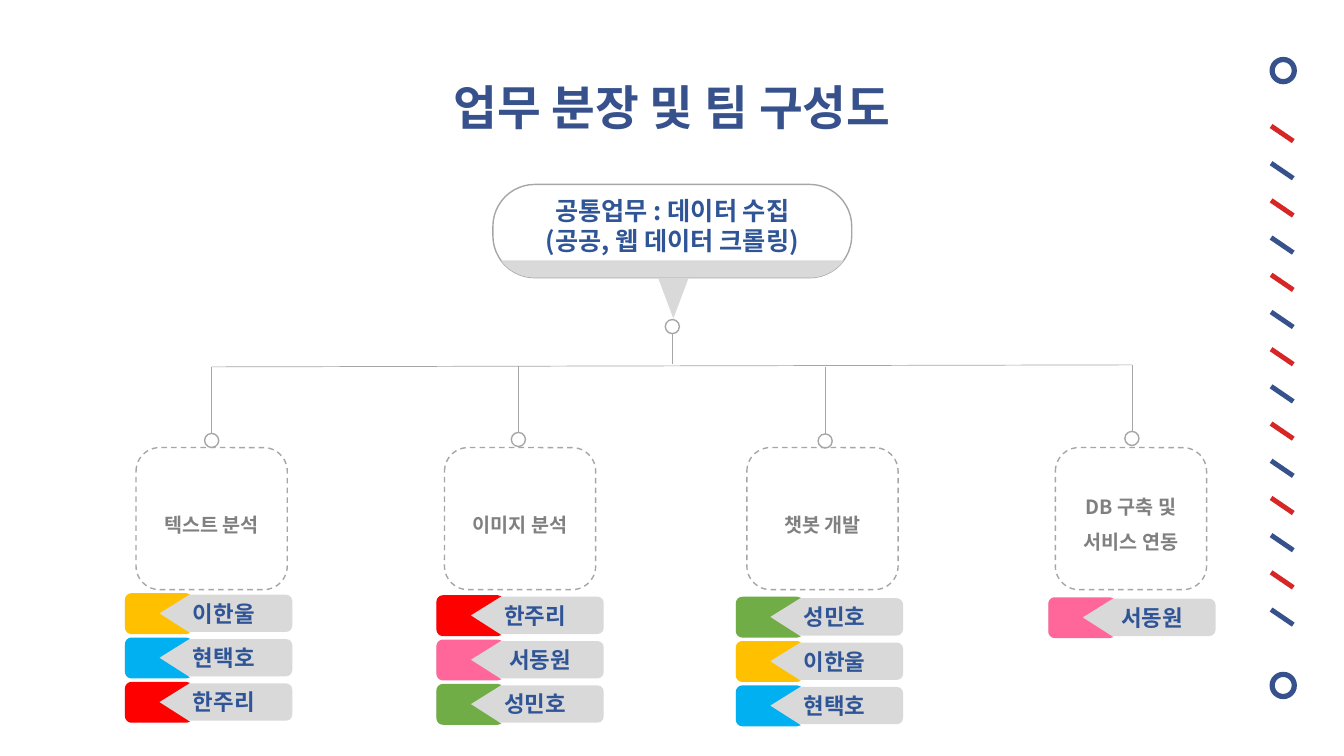
import dataclasses
import math

import lxml.etree
import pptx
import pptx.dml.color
import pptx.enum.dml
import pptx.enum.shapes
import pptx.enum.text
import pptx.oxml.ns
import pptx.util


@dataclasses.dataclass(frozen=True)
class Theme:
    """Colours and type sizes of the slide."""
    font: str = "Noto Sans CJK KR"
    navy: str = "36518B"
    blue: str = "2F5597"
    crimson: str = "D62726"
    outline: str = "A6A6A6"
    silver: str = "D9D9D9"
    label: str = "808080"
    white: str = "FFFFFF"
    yellow: str = "FFC000"
    sky: str = "00B0F0"
    red: str = "FF0000"
    pink: str = "FF6699"
    green: str = "70AD47"
    title_size: int = 34
    common_size: int = 18
    member_size: int = 16
    team_size: int = 14


def paint(shape, fill=None, line=None, weight=1):
    """Give a shape its fill and outline, or none, and no shadow."""
    shape.shadow.inherit = False
    if fill:
        shape.fill.solid()
        shape.fill.fore_color.rgb = pptx.dml.color.RGBColor.from_string(fill)
    else:
        shape.fill.background()
    if line:
        shape.line.color.rgb = pptx.dml.color.RGBColor.from_string(line)
        shape.line.width = pptx.util.Pt(weight)
    else:
        shape.line.fill.background()
    return shape


def write(shape, wording, size, color, spacing=None):
    """Put bold centred wording into a shape."""
    shape.text_frame.word_wrap = True
    shape.text_frame.text = wording
    for paragraph in shape.text_frame.paragraphs:
        paragraph.alignment = pptx.enum.text.PP_ALIGN.CENTER
        paragraph.line_spacing = spacing
        paragraph.font.name = theme.font
        paragraph.font.size = pptx.util.Pt(size)
        paragraph.font.bold = True
        paragraph.font.color.rgb = pptx.dml.color.RGBColor.from_string(color)
        east_asian = lxml.etree.SubElement(paragraph.font._element, pptx.oxml.ns.qn("a:ea"))
        east_asian.set("typeface", theme.font)


theme = Theme()
kinds = pptx.enum.shapes.MSO_SHAPE

# Square grid: all lengths below are counted in cells
CELL = pptx.util.Inches(0.1)
COLUMNS, ROWS = 133.33, 75

deck = pptx.Presentation()
deck.slide_width, deck.slide_height = int(COLUMNS * CELL), ROWS * CELL
shapes = deck.slides.add_slide(deck.slide_layouts[6]).shapes

# Member: tag colour and left text inset
members = {
    "이한울": (theme.yellow, 4),
    "현택호": (theme.sky, 4),
    "한주리": (theme.red, 4),
    "서동원": (theme.pink, 5),
    "성민호": (theme.green, 4),
}
# Team: task, box left, branch top, tags left, tags top, members
teams = [
    ("텍스트 분석", 13.5, 36.4, 12.4, 59.0, ["이한울", "현택호", "한주리"]),
    ("이미지 분석", 44.1, 36.3, 43.3, 59.2, ["한주리", "서동원", "성민호"]),
    ("챗봇 개발", 74.1, 36.45, 73.0, 59.35, ["성민호", "이한울", "현택호"]),
    ("DB 구축 및\v서비스 연동", 104.7, 36.2, 104.0, 59.4, ["서동원"]),
]
BRANCH_LEFT, BRANCH_GAP, BRANCH_LENGTH = 21, 30.43, 7.4
branches = [BRANCH_LEFT + BRANCH_GAP * i for i in range(len(teams))]
STEM = 66.7

# Lines: side stripes, trunk, stem and branches
lines = [
    (126.1, 12.5 + 3.69 * i, 128.3, 14 + 3.69 * i, (theme.crimson, theme.navy)[i % 2], 3.5)
    for i in range(14)
]
lines.append((branches[0], 36.4, branches[-1], 36.2, theme.outline, 0.5))
lines.append((STEM, 36.1, STEM, 32.7, theme.outline, 0.5))
for x, (_, _, top, *_) in zip(branches, teams):
    lines.append((x, top + BRANCH_LENGTH, x, top, theme.outline, 0.5))
for *ends, color, weight in lines:
    connector = shapes.add_connector(
        pptx.enum.shapes.MSO_CONNECTOR.STRAIGHT, *[int(end * CELL) for end in ends])
    connector.line.color.rgb = pptx.dml.color.RGBColor.from_string(color)
    connector.line.width = pptx.util.Pt(weight)
    lxml.etree.SubElement(connector._element.spPr, pptx.oxml.ns.qn("a:effectLst"))

# Rings: two at the side, one under the stem, one per branch
rings = [(127.3, y, 2.2, None, theme.navy, 3.75) for y in (7, 68)]
joints = [(STEM, 32.4)] + [
    (x, team[2] + BRANCH_LENGTH - 0.1) for x, team in zip(branches, teams)]
rings += [(x, y, 1.4, theme.white, theme.outline, 1) for x, y in joints]
for x, y, size, fill, line, weight in rings:
    box = [int(v * CELL) for v in (x - size / 2, y - size / 2, size, size)]
    paint(shapes.add_shape(kinds.OVAL, *box), fill, line, weight)

# Title
title = shapes.add_textbox(*[int(v * CELL) for v in (41.2, 7.2, 50.9, 6.7)])
write(title, "업무 분장 및 팀 구성도", theme.title_size, theme.navy)

# Common task callout, with its base following the rounded corners
LEFT, TOP, WIDE, TALL, ROUNDING = 48.9, 18.3, 35.6, 9.25, 0.45
callout = paint(
    shapes.add_shape(kinds.ROUNDED_RECTANGLE, *[int(v * CELL) for v in (LEFT, TOP, WIDE, TALL)]),
    None, theme.outline)
callout.adjustments[0] = ROUNDING
radius = ROUNDING * TALL
rim = []
for center, start in ((LEFT + WIDE - radius, 36), (LEFT + radius, 90)):
    for angle in range(start, start + 55, 6):
        turn = math.radians(angle)
        rim.append((int((center + radius * math.cos(turn)) * CELL),
                    int((TOP + TALL - radius + radius * math.sin(turn)) * CELL)))
base = shapes.build_freeform(*rim[0])
base.add_line_segments(rim[1:])
paint(base.convert_to_shape(), theme.silver)
pointer = paint(
    shapes.add_shape(kinds.ISOSCELES_TRIANGLE, *[int(v * CELL) for v in (65.3, 27.6, 3, 4)]),
    theme.silver)
pointer.rotation = 180
common = shapes.add_textbox(*[int(v * CELL) for v in (51.7, 18.9, 30, 7.1)])
write(common, "공통업무 : 데이터 수집\n(공공, 웹 데이터 크롤링)", theme.common_size, theme.blue)

# Flag outline: rounded left corners, notch on the right
FLAG_TALL, CORNER = 4.05, 0.65
flag = [(6.1, 0), (6.45, 0.1), (3.4, 2), (6.45, 3.95), (6.1, FLAG_TALL)]
for center, start in ((FLAG_TALL - CORNER, 90), (CORNER, 180)):
    for angle in range(start, start + 91, 15):
        turn = math.radians(angle)
        flag.append((CORNER + CORNER * math.cos(turn), center + CORNER * math.sin(turn)))

# Teams with their member tags
for task, box_left, _, tag_left, tag_top, names in teams:
    box = [int(v * CELL) for v in (box_left, 44.4, 15, 14.1)]
    team = paint(shapes.add_shape(kinds.ROUNDED_RECTANGLE, *box), None, theme.outline)
    team.line.dash_style = pptx.enum.dml.MSO_LINE.DASH
    write(team, task, theme.team_size, theme.label, 1.5)
    for row, name in enumerate(names):
        color, inset = members[name]
        top = tag_top + 4.4 * row
        box = [int(v * CELL) for v in (tag_left, top, 16.6, 3.7)]
        tag = paint(shapes.add_shape(kinds.ROUNDED_RECTANGLE, *box), theme.silver)
        write(tag, name, theme.member_size, theme.blue)
        tag.text_frame.margin_left = inset * CELL
        corners = [(int((tag_left + x) * CELL), int((top - 0.15 + y) * CELL)) for x, y in flag]
        outline = shapes.build_freeform(*corners[0])
        outline.add_line_segments(corners[1:])
        paint(outline.convert_to_shape(), color)

deck.save("out.pptx")
